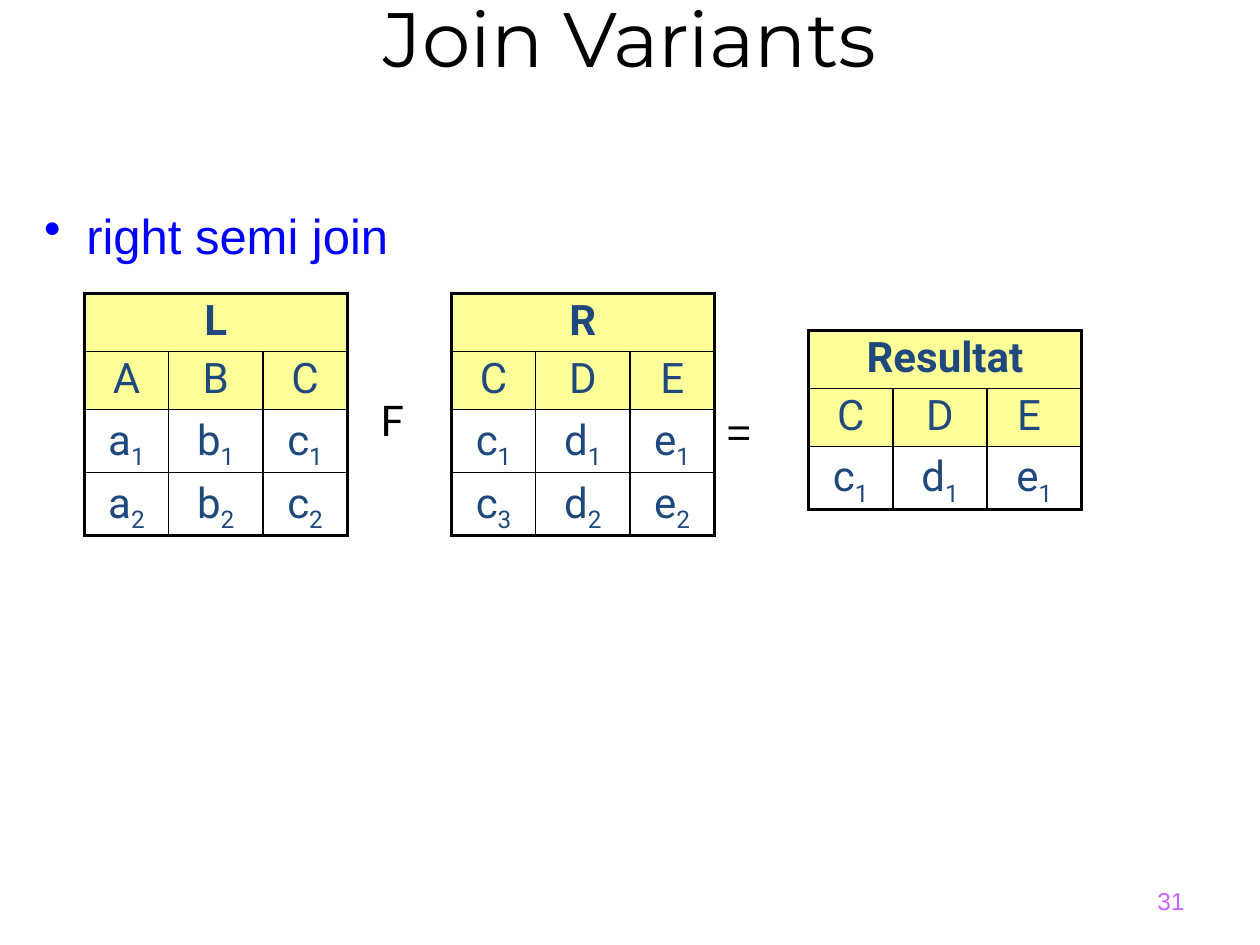
from dataclasses import dataclass
from typing import Optional

from lxml.etree import SubElement
from pptx import Presentation
from pptx.dml.color import RGBColor as RGB
from pptx.enum.text import MSO_ANCHOR as Anchor, PP_ALIGN as Align
from pptx.oxml.ns import qn
from pptx.util import Cm, Pt


@dataclass(frozen=True)
class Theme:
    black: RGB = RGB(0x00, 0x00, 0x00)
    white: RGB = RGB(0xFF, 0xFF, 0xFF)
    navy: RGB = RGB(0x1F, 0x49, 0x7D)
    blue: RGB = RGB(0x00, 0x00, 0xFF)
    yellow: RGB = RGB(0xFF, 0xFF, 0x99)
    violet: RGB = RGB(0xCC, 0x66, 0xFF)
    title_size: float = 44
    bullet_size: float = 28
    body_size: float = 24
    number_size: float = 14
    frame: float = 2.25
    grid: float = 1


THEME = Theme()
ROW_HEIGHT = 1.17
HEADER_ROWS = 2


@dataclass(frozen=True)
class Relation:
    name: str
    left: float
    top: float
    widths: tuple[float, ...]
    attributes: tuple[str, ...]
    tuples: tuple[tuple[str, ...], ...]


@dataclass(frozen=True)
class Label:
    text: str
    left: float
    top: float
    width: float
    height: float
    size: float
    color: RGB
    font: str = "Arial"
    align: Align = Align.LEFT
    anchor: Anchor = Anchor.TOP
    bullet: Optional[str] = None


RELATIONS = (
    Relation("L", 1.7, 5.92, (1.7, 1.9, 1.7), ("A", "B", "C"),
             (("a1", "b1", "c1"), ("a2", "b2", "c2"))),
    Relation("R", 9.1, 5.92, (1.7, 1.9, 1.7), ("C", "D", "E"),
             (("c1", "d1", "e1"), ("c3", "d2", "e2"))),
    Relation("Resultat", 16.3, 6.66, (1.7, 1.9, 1.9), ("C", "D", "E "),
             (("c1", "d1", "e1"),)),
)

LABELS = (
    Label("F", 7.42, 7.82, 1.48, 1.27, THEME.body_size, THEME.black, "Lato"),
    Label("=", 14.4, 8.05, 1.9, 1.27, THEME.body_size, THEME.black),
    Label("right semi join", 0.64, 4.02, 10.8, 1.45, THEME.bullet_size, THEME.blue, bullet="•"),
    Label("Join Variants", 0, -0.84, 25.4, 3.18, THEME.title_size, THEME.black, "Montserrat",
          Align.CENTER, Anchor.MIDDLE),
    Label("31", 18.2, 17.65, 5.93, 1.02, THEME.number_size, THEME.violet,
          align=Align.RIGHT, anchor=Anchor.MIDDLE),
)


def style_run(run, font: str, size: float, color: RGB, bold: bool = False) -> None:
    run.font.name = font
    run.font.size = Pt(size)
    run.font.color.rgb = color
    run.font.bold = bold


def add_bullet(paragraph, mark: str) -> None:
    properties = paragraph._p.get_or_add_pPr()
    properties.set("marL", str(Cm(0.85)))
    properties.set("indent", str(-Cm(0.85)))
    SubElement(properties, qn("a:buChar")).set("char", mark)


def add_label(slide, label: Label) -> None:
    box = slide.shapes.add_textbox(
        Cm(label.left), Cm(label.top), Cm(label.width), Cm(label.height))
    frame = box.text_frame
    frame.word_wrap = True
    frame.vertical_anchor = label.anchor
    frame.text = label.text
    paragraph = frame.paragraphs[0]
    paragraph.alignment = label.align
    if label.bullet:
        add_bullet(paragraph, label.bullet)
    style_run(paragraph.runs[0], label.font, label.size, label.color)


def set_borders(cell, outer_sides: dict[str, bool]) -> None:
    properties = cell._tc.get_or_add_tcPr()
    for side, outer in outer_sides.items():
        line = SubElement(properties, qn(f"a:ln{side}"))
        line.set("w", str(Pt(THEME.frame if outer else THEME.grid)))
        fill = SubElement(line, qn("a:solidFill"))
        SubElement(fill, qn("a:srgbClr")).set("val", str(THEME.black))


def fill_cell(cell, text: str, subscript: str, bold: bool, background: RGB) -> None:
    cell.margin_left = cell.margin_right = 0
    cell.margin_top = cell.margin_bottom = Cm(0.13)
    cell.fill.solid()
    cell.fill.fore_color.rgb = background
    paragraph = cell.text_frame.paragraphs[0]
    paragraph.alignment = Align.CENTER
    paragraph.line_spacing = 0.9
    for part in filter(None, (text, subscript)):
        run = paragraph.add_run()
        run.text = part
        style_run(run, "Roboto", THEME.body_size, THEME.navy, bold)
    if subscript:
        run._r.get_or_add_rPr().set("baseline", "-25000")


def add_relation(slide, relation: Relation) -> None:
    columns = len(relation.widths)
    heading = (relation.name,) + ("",) * (columns - 1)
    rows = (heading, relation.attributes, *relation.tuples)
    table = slide.shapes.add_table(
        len(rows), columns, Cm(relation.left), Cm(relation.top),
        Cm(sum(relation.widths)), Cm(ROW_HEIGHT * len(rows))).table
    table.first_row = table.horz_banding = False
    for column, width in zip(table.columns, relation.widths):
        column.width = Cm(width)
    table.cell(0, 0).merge(table.cell(0, columns - 1))
    for r, values in enumerate(rows):
        table.rows[r].height = Cm(ROW_HEIGHT)
        is_header = r < HEADER_ROWS
        for c, value in enumerate(values):
            cell = table.cell(r, c)
            set_borders(cell, {"L": c == 0, "R": r == 0 or c == columns - 1,
                               "T": r == 0, "B": r == len(rows) - 1})
            text, subscript = (value, "") if is_header else (value[0], value[1:])
            fill_cell(cell, text, subscript, r == 0, THEME.yellow if is_header else THEME.white)


def main() -> None:
    deck = Presentation()
    deck.slide_width, deck.slide_height = Cm(25.4), Cm(19.05)
    slide = deck.slides.add_slide(deck.slide_layouts[6])
    for relation in RELATIONS:
        add_relation(slide, relation)
    for label in LABELS:
        add_label(slide, label)
    deck.save("out.pptx")


if __name__ == "__main__":
    main()
